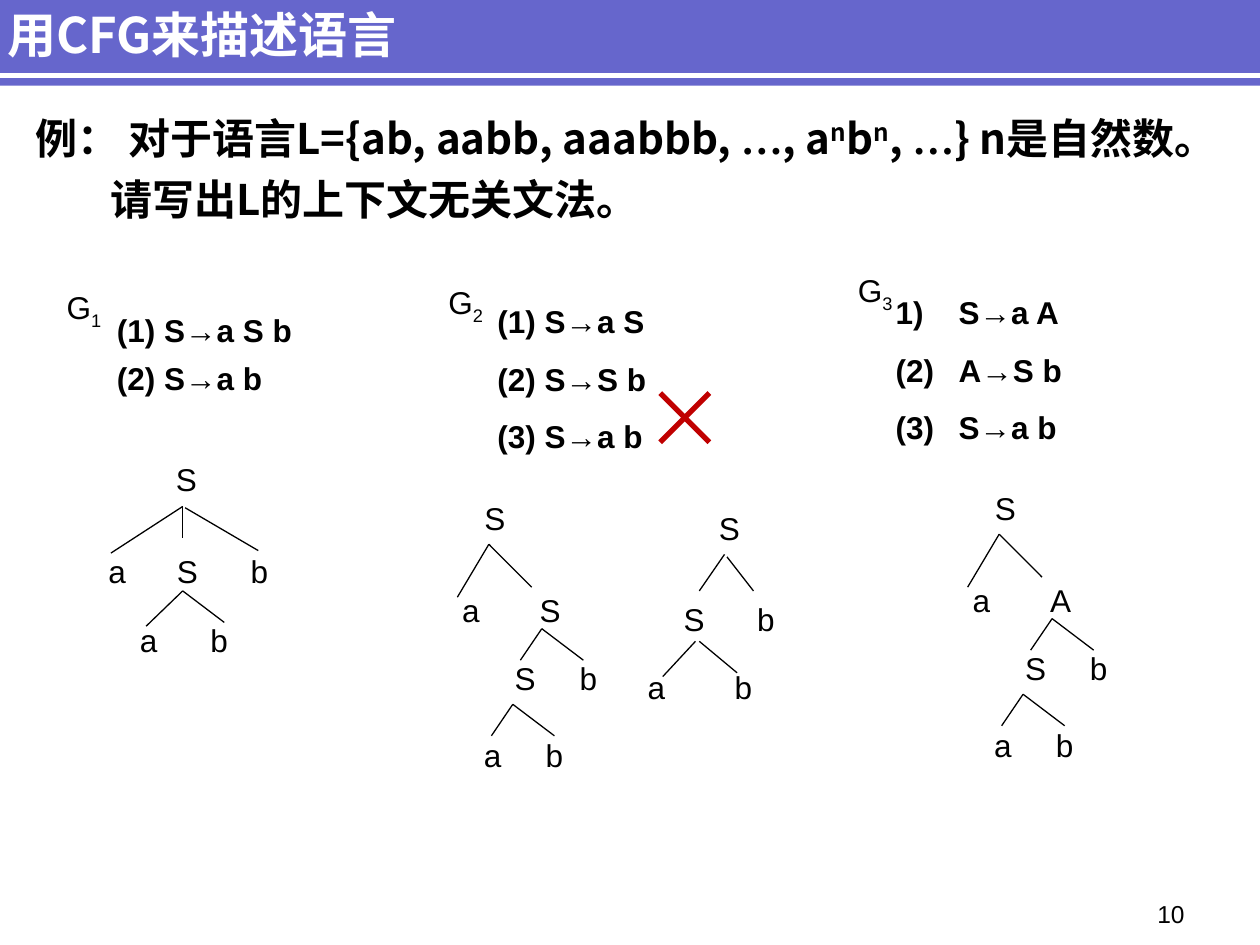
from dataclasses import dataclass

from lxml import etree
from pptx import Presentation
from pptx.dml.color import RGBColor
from pptx.enum.shapes import MSO_CONNECTOR, MSO_SHAPE
from pptx.enum.text import MSO_ANCHOR, PP_ALIGN
from pptx.oxml.ns import qn
from pptx.util import Inches, Pt

STRAIGHT = MSO_CONNECTOR.STRAIGHT
RECTANGLE = MSO_SHAPE.RECTANGLE
MIDDLE, BOTTOM = MSO_ANCHOR.MIDDLE, MSO_ANCHOR.BOTTOM
RIGHT = PP_ALIGN.RIGHT
BLANK_LAYOUT = 6


@dataclass(frozen=True)
class Theme:
    band: RGBColor = RGBColor(0x66, 0x66, 0xCC)
    white: RGBColor = RGBColor(0xFF, 0xFF, 0xFF)
    ink: RGBColor = RGBColor(0, 0, 0)
    cross: RGBColor = RGBColor(0xC0, 0, 0)
    cjk: str = "Noto Sans CJK SC"
    latin: str = "Arial"
    ellipsis: str = "Times New Roman"
    title_size: int = 28
    body_size: int = 24
    text_size: int = 18
    number_size: int = 14
    thin: float = 0.75
    thick: float = 3


THEME = Theme()
BODY_FORMAT = {"size": Pt(THEME.body_size), "bold": True, "name": THEME.cjk}
RULE_FORMAT = {"bold": True}
LETTER_WIDTH = {"a": 0.14, "b": 0.14, "S": 0.17, "A": 0.17}

# Each tree: rows of (box, [(letter, centre x)]), then branches (x1, y1, x2, y2).
TREE_1 = (
    [((0.36, 3.6, 2.25), [("S", 1.48)]),
     ((0.52, 4.33, 2.03), [("a", 0.93), ("S", 1.49), ("b", 2.06)]),
     ((0.76, 4.88, 1.48), [("a", 1.18), ("b", 1.74)])],
    [(1.45, 4.02, 0.88, 4.39), (1.45, 4.02, 1.45, 4.27), (1.47, 4.03, 2.05, 4.37),
     (1.45, 4.69, 1.16, 4.97), (1.45, 4.69, 1.78, 4.94)],
)
TREE_2_RIGHT = (
    [((4.76, 3.99, 2.05), [("S", 5.79)]),
     ((4.9, 4.71, 1.85), [("S", 5.51), ("b", 6.08)]),
     ((4.92, 5.25, 1.34), [("a", 5.21), ("b", 5.9)])],
    [(5.75, 4.4, 5.55, 4.69), (5.77, 4.42, 5.98, 4.69),
     (5.52, 5.09, 5.26, 5.37), (5.55, 5.09, 5.85, 5.34)],
)


def deep_tree(inner):
    """The four-level tree of G2 and G3, which differ in one inner letter."""
    return (
        [((3.65, 3.91, 0.55), [("S", 3.93)]),
         ((3.57, 4.64, 0.99), [("a", 3.74), (inner, 4.37)]),
         ((3.99, 5.18, 0.85), [("S", 4.17), ("b", 4.67)]),
         ((3.56, 5.79, 1.25), [("a", 3.91), ("b", 4.4)])],
        [(3.88, 4.32, 3.63, 4.74), (3.88, 4.32, 4.22, 4.66),
         (4.3, 4.99, 4.13, 5.24), (4.3, 4.99, 4.63, 5.24),
         (4.07, 5.59, 3.9, 5.84), (4.07, 5.59, 4.4, 5.84)],
    )


def set_attributes(target, values):
    for name, value in values.items():
        setattr(target, name, value)


def add_text_frame(slide, left, top, width, height, **options):
    frame = slide.shapes.add_textbox(*map(Inches, (left, top, width, height))).text_frame
    set_attributes(frame, {"word_wrap": True, **options})
    return frame


def add_run(paragraph, text, color=THEME.ink, baseline=0, **font_values):
    run = paragraph.add_run()
    run.text = text
    run.font.color.rgb = color
    set_attributes(run.font, {"size": Pt(THEME.text_size), "name": THEME.latin, **font_values})
    properties = run.font._element
    if run.font.name == THEME.cjk:
        etree.SubElement(properties, qn("a:ea"), typeface=THEME.cjk)
    if baseline:
        properties.set("baseline", str(baseline * 1000))


def add_tabs(paragraph, stops):
    tab_list = etree.SubElement(paragraph._p.get_or_add_pPr(), qn("a:tabLst"))
    for stop in stops:
        etree.SubElement(tab_list, qn("a:tab"), pos=str(Inches(stop)), algn="l")


def set_indent(paragraph, margin, first_line):
    properties = paragraph._p.get_or_add_pPr()
    properties.set("marL", str(Inches(margin)))
    properties.set("indent", str(Inches(first_line)))


def add_line(slide, x1, y1, x2, y2, color=THEME.ink, weight=THEME.thin):
    line = slide.shapes.add_connector(STRAIGHT, *map(Inches, (x1, y1, x2, y2)))
    line.line.color.rgb = color
    line.line.width = Pt(weight)
    etree.SubElement(line._element.spPr, qn("a:effectLst"))


def add_header(slide):
    band = slide.shapes.add_shape(RECTANGLE, *map(Inches, (-0.04, -0.03, 10.04, 0.71)))
    band.shadow.inherit = False
    band.fill.solid()
    band.fill.fore_color.rgb = THEME.band
    band.line.fill.background()
    add_line(slide, -0.04, 0.6, 10, 0.6, THEME.white, THEME.thick)
    title = add_text_frame(slide, -0.04, -0.01, 8.52, 0.55, vertical_anchor=MIDDLE)
    add_run(title.paragraphs[0], "用CFG来描述语言", THEME.white,
            size=Pt(THEME.title_size), bold=True, name=THEME.cjk)


def add_problem(slide):
    frame = add_text_frame(slide, 0.18, 0.84, 9.65, 1.14)
    language, task = frame.paragraphs[0], frame.add_paragraph()
    set_indent(language, 0.38, -0.38)
    set_indent(task, 0.6, 0)
    task.space_before = Pt(6)
    for paragraph in (language, task):
        paragraph.line_spacing = Pt(29)
    dots = {"name": THEME.ellipsis}
    power = {"baseline": 30}
    for text, change in [("例： 对于语言L={ab, aabb, aaabbb, ", {}), ("…", dots), (", a", {}),
                         ("n", power), ("b", {}), ("n", power), (", ", {}), ("…", dots),
                         ("} n是自然数。", {})]:
        add_run(language, text, **{**BODY_FORMAT, **change})
    add_run(task, "请写出L的上下文无关文法。", **BODY_FORMAT)


def add_grammar_label(slide, number, left, top, width):
    label = add_text_frame(slide, left, top, width, 0.44).paragraphs[0]
    add_run(label, "G")
    add_run(label, number, baseline=-25)


def add_rules(slide, box, rules, gap, hanging=0):
    """Rules one below the other; with a hanging indent the first is auto-numbered."""
    frame = add_text_frame(slide, *box)
    for index, rule in enumerate(rules):
        paragraph = frame.add_paragraph() if index else frame.paragraphs[0]
        if index:
            paragraph.space_before = Pt(gap)
        if hanging:
            set_indent(paragraph, hanging, -hanging)
            if index == 0:
                properties = paragraph._p.get_or_add_pPr()
                etree.SubElement(properties, qn("a:buFont"), typeface=THEME.latin)
                etree.SubElement(properties, qn("a:buAutoNum"), type="arabicParenR")
        add_run(paragraph, rule, **RULE_FORMAT)


def add_tree(slide, tree, dx=0, dy=0):
    rows, branches = tree
    for (left, top, width), letters in rows:
        starts = [x - LETTER_WIDTH[letter] / 2 for letter, x in letters]
        frame = add_text_frame(slide, left + dx, top + dy, width, 0.4,
                               margin_left=Inches(starts[0] - left), margin_right=0)
        row = frame.paragraphs[0]
        if len(starts) > 1:
            add_tabs(row, [start - starts[0] for start in starts[1:]])
        add_run(row, "\t".join(letter for letter, _ in letters))
    for x1, y1, x2, y2 in branches:
        add_line(slide, x1 + dx, y1 + dy, x2 + dx, y2 + dy)


def add_cross(slide, left, top, size):
    right, bottom = left + size, top + size
    add_line(slide, left, top, right, bottom, THEME.cross, THEME.thick)
    add_line(slide, right, top, left, bottom, THEME.cross, THEME.thick)


def add_slide_number(slide, number):
    frame = add_text_frame(slide, 7.42, 6.92, 2.08, 0.5, vertical_anchor=BOTTOM)
    frame.paragraphs[0].alignment = RIGHT
    add_run(frame.paragraphs[0], number, size=Pt(THEME.number_size))


def main():
    deck = Presentation()
    deck.slide_width, deck.slide_height = Inches(10), Inches(7.5)
    slide = deck.slides.add_slide(deck.slide_layouts[BLANK_LAYOUT])
    add_header(slide)
    add_problem(slide)
    add_slide_number(slide, "10")

    add_tree(slide, TREE_2_RIGHT)
    add_tree(slide, deep_tree("S"))
    add_tree(slide, deep_tree("A"), dx=4.05, dy=-0.08)

    add_rules(slide, (0.83, 2.42, 1.92, 0.79), ["(1) S→a S b", "(2) S→a b"], 6)
    add_grammar_label(slide, "1", 0.43, 2.24, 0.64)
    add_rules(slide, (3.85, 2.35, 2, 1.32), ["(1) S→a S", "(2) S→S b", "(3) S→a b"], 11.2)
    add_grammar_label(slide, "2", 3.46, 2.2, 0.78)
    add_rules(slide, (7.01, 2.28, 2, 1.32), ["S→a A", "(2)\tA→S b", "(3)\tS→a b"], 11.2, 0.5)
    add_grammar_label(slide, "3", 6.71, 2.1, 0.78)

    add_cross(slide, 5.24, 3.12, 0.39)
    add_tree(slide, TREE_1)
    deck.save("out.pptx")


if __name__ == "__main__":
    main()
